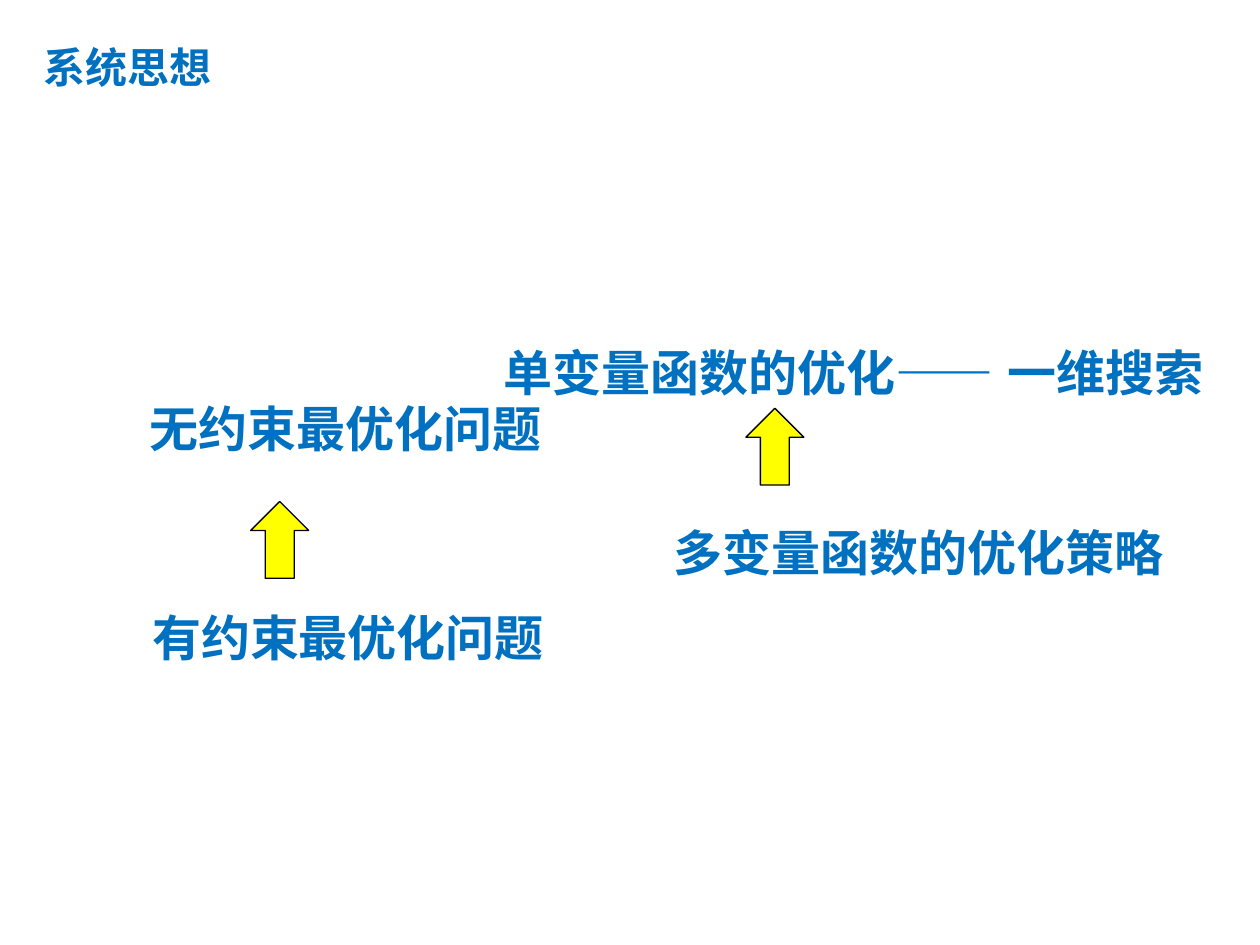
from dataclasses import dataclass

from pptx import Presentation
from pptx.dml.color import RGBColor
from pptx.enum.shapes import MSO_SHAPE
from pptx.enum.text import MSO_AUTO_SIZE
from pptx.util import Inches, Pt

UP_ARROW = MSO_SHAPE.UP_ARROW
GROW = MSO_AUTO_SIZE.SHAPE_TO_FIT_TEXT
BLANK_LAYOUT = 6


@dataclass(frozen=True)
class Theme:
    text: RGBColor = RGBColor(0x00, 0x70, 0xC0)
    arrow: RGBColor = RGBColor(0xFF, 0xFF, 0x00)
    outline: RGBColor = RGBColor(0x00, 0x00, 0x00)
    title_font: str = "Times New Roman"
    body_font: str = "Arial"
    title_size: int = 24
    body_size: int = 28
    line_width: float = 0.75


class Page:
    """One slide, measured on a grid of 100 columns by 75 rows."""

    def __init__(self, deck, theme):
        self.theme = theme
        self.shapes = deck.slides.add_slide(deck.slide_layouts[BLANK_LAYOUT]).shapes
        self.column = deck.slide_width / 100
        self.row = deck.slide_height / 75

    def place(self, left, top, width, height):
        return (round(left * self.column), round(top * self.row),
                round(width * self.column), round(height * self.row))

    def text(self, words, left, top, width, height, font, size, wrap=True):
        box = self.shapes.add_textbox(*self.place(left, top, width, height))
        frame = box.text_frame
        frame.word_wrap = wrap
        frame.auto_size = GROW
        para = frame.paragraphs[0]
        para.add_run().text = words
        para.font.name = font
        para.font.size = Pt(size)
        para.font.bold = True
        para.font.color.rgb = self.theme.text

    def title(self, words, left, top, width):
        self.text(words, left, top, width, 5,
                  self.theme.title_font, self.theme.title_size)

    def topic(self, words, left, top, width, wrap=True):
        self.text(words, left, top, width, 5.7,
                  self.theme.body_font, self.theme.body_size, wrap)

    def arrow(self, left, top):
        arrow = self.shapes.add_shape(UP_ARROW, *self.place(left, top, 4.6, 6.1))
        arrow.shadow.inherit = False
        arrow.fill.solid()
        arrow.fill.fore_color.rgb = self.theme.arrow
        arrow.line.color.rgb = self.theme.outline
        arrow.line.width = Pt(self.theme.line_width)


deck = Presentation()
deck.slide_width, deck.slide_height = Inches(10), Inches(7.5)
page = Page(deck, Theme())

# Title
page.title("系统思想", 2.5, 2.8, 68.3)

# Constrained problems lead up to unconstrained ones
page.topic("无约束最优化问题", 10.9, 31.1, 33.3)
page.arrow(19.9, 39.8)
page.topic("有约束最优化问题", 11.1, 47.7, 33.3, wrap=False)

# Many variables lead up to a single variable
page.topic("单变量函数的优化——\t一维搜索", 39, 26.7, 58.2)
page.arrow(59.2, 32.4)
page.topic("多变量函数的优化策略", 52.5, 41, 44.8)

deck.save("out.pptx")
